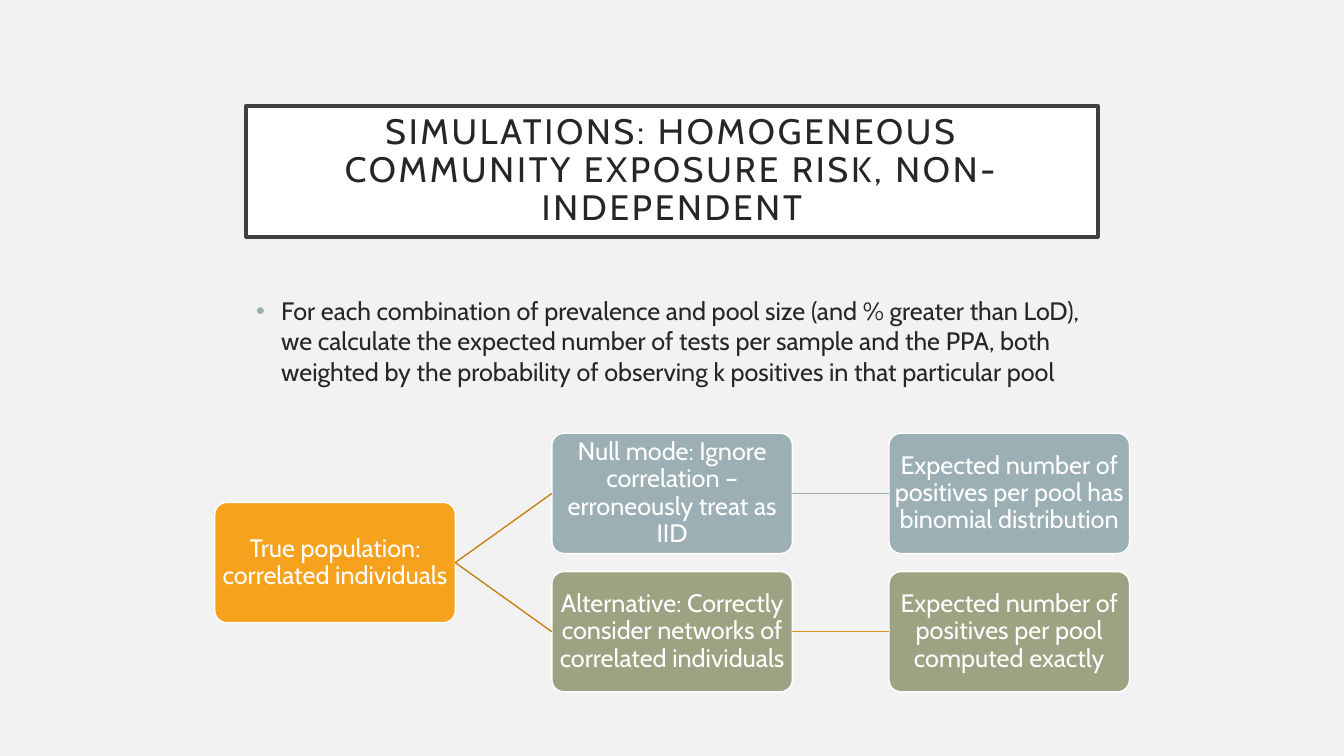
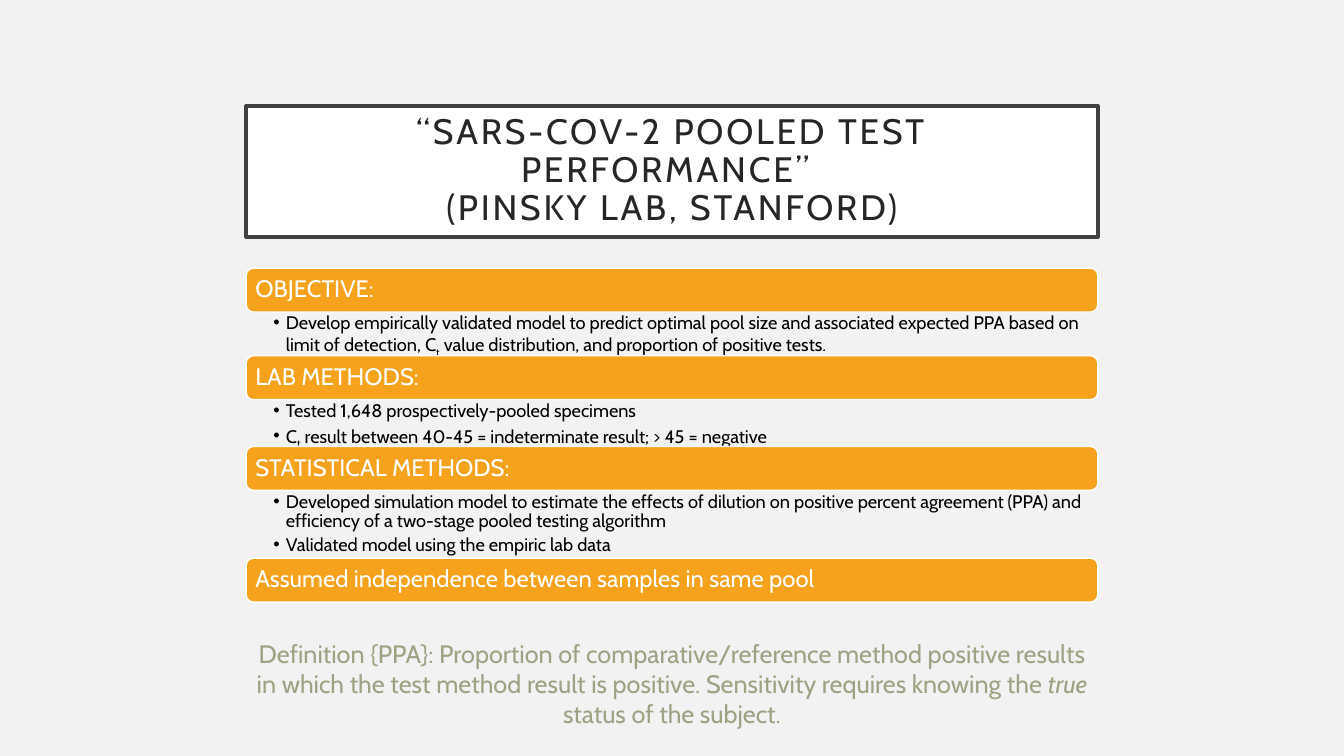
from lxml.etree import SubElement
from pptx import Presentation
from pptx.dml.color import RGBColor
from pptx.enum.shapes import MSO_CONNECTOR as Connector, MSO_SHAPE as Preset
from pptx.enum.text import MSO_ANCHOR as Anchor, MSO_AUTO_SIZE as AutoSize, PP_ALIGN as Align
from pptx.oxml.ns import qn
from pptx.util import Pt

FONT = "Cabin"
WHITE, BLACK, INK, FRAME, PAPER = "FFFFFF", "000000", "262626", "404040", "F2F2F2"
ORANGE, DARK_ORANGE, MID_ORANGE, BLUE, GREEN = "F6A21D", "C58217", "DF931A", "9BAFB5", "9CA383"
LEFT, WIDTH = 175.8, 608.4

# Content: a run is a string, or a (string, style) pair
SIMULATION_TITLE = "SIMULATIONS: HOMOGENEOUS COMMUNITY EXPOSURE RISK, NON-INDEPENDENT"
SIMULATION_TEXT = (
    "For each combination of prevalence and pool size (and % greater than LoD), "
    "we calculate the expected number of tests per sample and the PPA, both "
    "weighted by the probability of observing k positives in that particular pool")
ROOT = "True population: correlated individuals"
BRANCHES = [
    (BLUE, BLUE, ["Null mode: Ignore correlation – erroneously treat as IID",
                  "Expected number of positives per pool has binomial distribution"]),
    (GREEN, MID_ORANGE, ["Alternative: Correctly consider networks of correlated individuals",
                         "Expected number of positives per pool computed exactly"]),
]

STUDY_TITLE = "“SARS-COV-2 POOLED TEST PERFORMANCE” \v(PINSKY LAB, STANFORD)"
SECTIONS = [  # heading, height of the list below, bullets
    ("OBJECTIVE:", 31.2, [
        ["Develop empirically validated model to predict optimal pool size and associated "
         "expected PPA based on limit of detection, C", ("t", "sub"),
         " value distribution, and proportion of positive tests."]]),
    ("LAB METHODS:", 33.4, [
        ["Tested 1,648 prospectively-pooled specimens"],
        ["C", ("t", "sub"), " result between 40-45 = indeterminate result; > 45 = negative"]]),
    ("STATISTICAL METHODS:", 48.4, [
        ["Developed simulation model to estimate the effects of dilution on positive percent "
         "agreement (PPA) and efficiency of a two-stage pooled testing algorithm"],
        ["Validated model using the empiric lab data"]]),
    ("Assumed independence between samples in same pool", 0, []),
]
DEFINITION = [
    "Definition {PPA}: Proportion of comparative/reference method positive results in which "
    "the test method result is positive. Sensitivity requires knowing the ",
    ("true", "italic"), " status of the subject."]


def color(value):
    return RGBColor.from_string(value)


def set_all(target, **values):
    for name, value in values.items():
        setattr(target, name, value)


def add_bullet(para, indent, bullet_color):
    props = para._p.get_or_add_pPr()
    props.set("marL", str(Pt(indent)))
    props.set("indent", str(-Pt(indent)))
    SubElement(SubElement(props, qn("a:buClr")), qn("a:srgbClr"), val=bullet_color)
    SubElement(props, qn("a:buFont"), typeface="Arial")
    SubElement(props, qn("a:buChar"), char="•")


def write(shape, paragraphs, size, text_color, insets, anchor=Anchor.TOP, indent=0,
          bullet_color=BLACK, **layout):
    frame = shape.text_frame
    set_all(frame, word_wrap=True, auto_size=AutoSize.NONE, vertical_anchor=anchor)
    set_all(frame, **{"margin_" + side: Pt(gap)
                      for side, gap in zip(("left", "top", "right", "bottom"), insets)})
    for number, runs in enumerate(paragraphs):
        para = frame.add_paragraph() if number else frame.paragraphs[0]
        if indent:
            add_bullet(para, indent, bullet_color)
        set_all(para, **layout)
        for part in runs:
            text, style = (part, None) if isinstance(part, str) else part
            for piece_number, piece in enumerate(text.split("\v")):
                if piece_number:
                    para.add_line_break()
                span = para.add_run()
                span.text = piece
                set_all(span.font, name=FONT, size=Pt(size))
                span.font.color.rgb = color(text_color)
                if style == "italic":
                    span.font.italic = True
                elif style == "sub":
                    span._r.get_or_add_rPr().set("baseline", "-25000")


def paint(shape, fill, line, weight):
    shape.fill.solid()
    shape.fill.fore_color.rgb = color(fill)
    shape.line.color.rgb = color(line)
    shape.line.width = Pt(weight)


def add_page(deck, title):
    page = deck.slides.add_slide(deck.slide_layouts[5])
    box = page.shapes.title
    set_all(box, left=Pt(LEFT), top=Pt(75.6), width=Pt(WIDTH), height=Pt(93.6))
    paint(box, WHITE, FRAME, 2.5)
    write(box, [[title]], 25.2, INK, [14.4] * 4, Anchor.MIDDLE,
          alignment=Align.CENTER, line_spacing=0.9)
    for span in box.text_frame.paragraphs[0].runs:
        span._r.get_or_add_rPr().set("spc", "200")
    return page


def add_text(page, top, height, *args, **layout):
    box = page.shapes.add_textbox(Pt(LEFT), Pt(top), Pt(WIDTH), Pt(height))
    write(box, *args, **layout)


def add_round_box(page, place, fill, text, size, inset, corner, alignment):
    box = page.shapes.add_shape(Preset.ROUNDED_RECTANGLE, *map(Pt, place))
    box.shadow.inherit = False
    box.adjustments[0] = corner
    paint(box, fill, WHITE, 1)
    write(box, [[text]], size, WHITE, [inset] * 4, Anchor.MIDDLE,
          alignment=alignment, line_spacing=0.9)
    return box


def join(page, start, end, line_color):
    line = page.shapes.add_connector(Connector.STRAIGHT, 0, 0, 0, 0)
    line.begin_connect(start, 3)
    line.end_connect(end, 1)
    line.line.color.rgb = color(line_color)
    line.line.width = Pt(1)
    SubElement(line._element.spPr, qn("a:effectLst"))


def build_simulation(deck):
    page = add_page(deck, SIMULATION_TITLE)
    add_text(page, 207.4, 90, [[SIMULATION_TEXT]], 18, INK, (7.2, 3.6, 7.2, 3.6),
             indent=18, bullet_color=BLUE)

    # Tree: the root sits halfway between the two branch rows
    left, top, width, height, column_step, row_step = 153.4, 309.5, 171.8, 85.9, 240.8, 98.8

    def node(column, row, fill, text):
        place = (left + column * column_step, top + row * row_step, width, height)
        return add_round_box(page, place, fill, text, 18, 0.9, 0.1, Align.CENTER)

    root = node(0, 0.5, ORANGE, ROOT)
    for row, (fill, line_color, texts) in enumerate(BRANCHES):
        model, outcome = [node(column, row, fill, text) for column, text in enumerate(texts, 1)]
        join(page, root, model, DARK_ORANGE)
        join(page, model, outcome, line_color)


def build_study(deck):
    page = add_page(deck, STUDY_TITLE)
    # Bars with their lists, stacked downwards
    top, bar_height = 191.5, 31.4
    for heading, list_height, bullets in SECTIONS:
        add_round_box(page, (LEFT, top, WIDTH, bar_height), ORANGE, heading, 17, 5, 0.17,
                      Align.LEFT)
        top += bar_height
        if bullets:
            add_text(page, top, list_height, bullets, 13, BLACK, (19.4, 1.4, 9.4, 1.4),
                     indent=9, line_spacing=0.9, space_after=Pt(3))
        top += list_height
    add_text(page, 452.2, 79.9, [DEFINITION], 18, GREEN, (7.2, 3.6, 7.2, 3.6),
             alignment=Align.CENTER)


def main():
    deck = Presentation()
    set_all(deck, slide_width=Pt(960), slide_height=Pt(540))
    backdrop = deck.slide_master.background.fill
    backdrop.solid()
    backdrop.fore_color.rgb = color(PAPER)
    build_simulation(deck)
    build_study(deck)
    deck.save("out.pptx")


if __name__ == "__main__":
    main()
